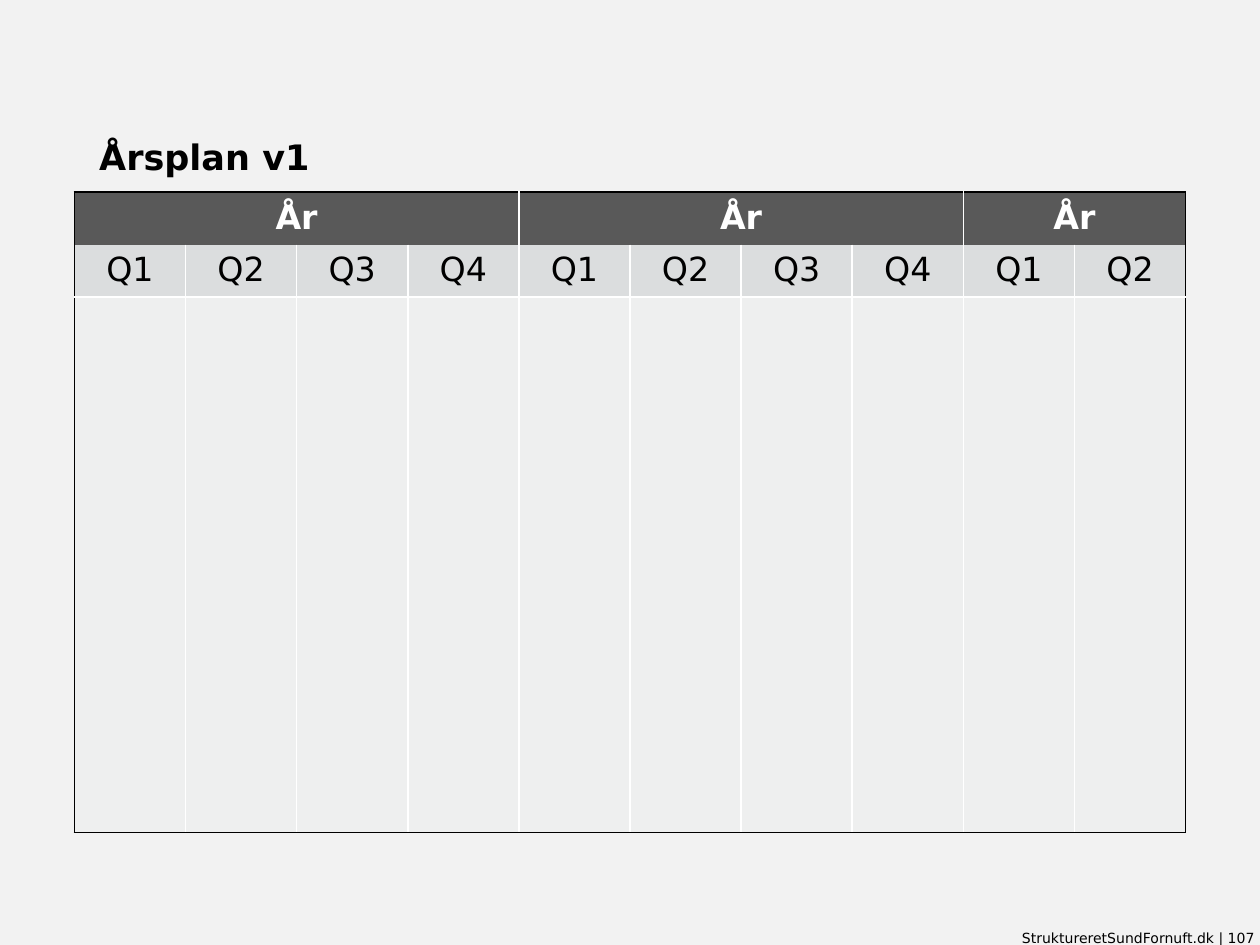
from dataclasses import dataclass

from lxml.etree import SubElement
from pptx import Presentation
from pptx.dml.color import RGBColor as RGB
from pptx.enum.text import MSO_ANCHOR as Anchor, PP_ALIGN as Align
from pptx.oxml.ns import qn
from pptx.util import Cm, Pt

COLORS = {
    "background": "F2F2F2",
    "year": "595959",
    "quarter": "DBDDDE",
    "body": "EEEFEF",
    "black": "000000",
    "white": "FFFFFF",
}
FONT = "DejaVu Sans"
COL_WIDTH = 2.24
ROW_HEIGHTS = (1.03, 1.03, 10.79)


@dataclass
class Label:
    text: str
    box: tuple[float, float, float, float]
    size: int
    bold: bool
    align: Align
    anchor: Anchor
    spacing: float


@dataclass
class Year:
    name: str
    quarters: int


LABELS = [
    Label("Årsplan v1", (2, 1.5, 21.39, 2.11), 20, True, Align.LEFT, Anchor.BOTTOM, 0.96),
    Label("StruktureretSundFornuft.dk | 107", (19.38, 18.69, 5.92, 0.38), 8, False,
          Align.RIGHT, Anchor.TOP, 1.15),
]
YEARS = [Year("År", 4), Year("År", 4), Year("År", 2)]


def write(p, text: str, size: int, color: str, bold: bool, align: Align) -> None:
    p.alignment = align
    r = p.add_run()
    r.text = text
    for name, value in {"name": FONT, "size": Pt(size), "bold": bold}.items():
        setattr(r.font, name, value)
    r.font.color.rgb = RGB.from_string(COLORS[color])


def add_label(s, label: Label) -> None:
    sp = s.shapes.add_textbox(*map(Cm, label.box))
    tf = sp.text_frame
    frame = {"word_wrap": True, "vertical_anchor": label.anchor, "margin_left": 0,
             "margin_right": 0, "margin_top": 0, "margin_bottom": 0}
    for name, value in frame.items():
        setattr(tf, name, value)
    p = tf.paragraphs[0]
    p.line_spacing = label.spacing
    write(p, label.text, label.size, "black", label.bold, label.align)


def style_cell(cell, fill: str, **edges: str | None) -> None:
    """Set fill and the left, right, top and bottom edges; None hides an edge."""
    tc_pr = cell._tc.get_or_add_tcPr()
    for side in ("L", "R", "T", "B"):
        color = edges[side]
        ln = SubElement(tc_pr, qn(f"a:ln{side}"), w=str(Pt(1)))
        if color:
            solid = SubElement(ln, qn("a:solidFill"))
            SubElement(solid, qn("a:srgbClr"), val=COLORS[color])
        else:
            SubElement(ln, qn("a:noFill"))
    cell.fill.solid()
    cell.fill.fore_color.rgb = RGB.from_string(COLORS[fill])


def add_year_plan(s, years: list[Year]) -> None:
    count = sum(year.quarters for year in years)
    frame = s.shapes.add_table(len(ROW_HEIGHTS), count, Cm(1.5), Cm(3.87),
                               Cm(COL_WIDTH * count), Cm(sum(ROW_HEIGHTS)))
    table = frame.table
    table.first_row = table.horz_banding = False
    for column in table.columns:
        column.width = Cm(COL_WIDTH)
    for row, height in zip(table.rows, ROW_HEIGHTS):
        row.height = Cm(height)

    start = 0
    for year in years:
        end = start + year.quarters - 1
        head = table.cell(0, start)
        head.merge(table.cell(0, end))
        style_cell(head, "year", L="white" if start else "black",
                   R="black" if end == count - 1 else "white", T="black", B=None)
        write(head.text_frame.paragraphs[0], year.name, 19, "white", True, Align.CENTER)
        for quarter in range(year.quarters):
            col = start + quarter
            sides = {"L": "white" if col else "black",
                     "R": "black" if col == count - 1 else "white"}
            cell = table.cell(1, col)
            style_cell(cell, "quarter", T=None, B="white", **sides)
            write(cell.text_frame.paragraphs[0], f"Q{quarter + 1}", 19, "black", False,
                  Align.CENTER)
            style_cell(table.cell(2, col), "body", T="white", B="black", **sides)
        start = end + 1


def main() -> None:
    prs = Presentation()
    prs.slide_width, prs.slide_height = Cm(25.4), Cm(19.05)
    s = prs.slides.add_slide(prs.slide_layouts[6])
    s.background.fill.solid()
    s.background.fill.fore_color.rgb = RGB.from_string(COLORS["background"])
    for label in LABELS:
        add_label(s, label)
    add_year_plan(s, YEARS)
    prs.save("out.pptx")


if __name__ == "__main__":
    main()
